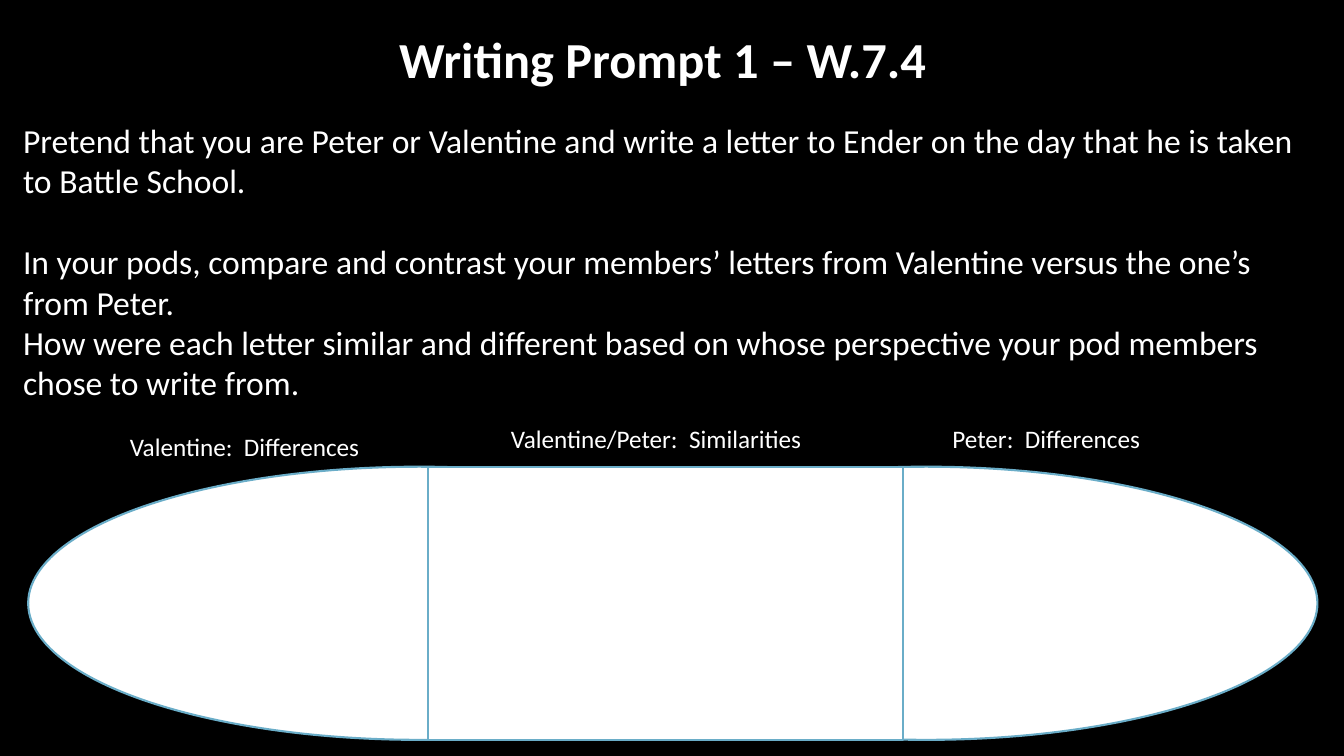
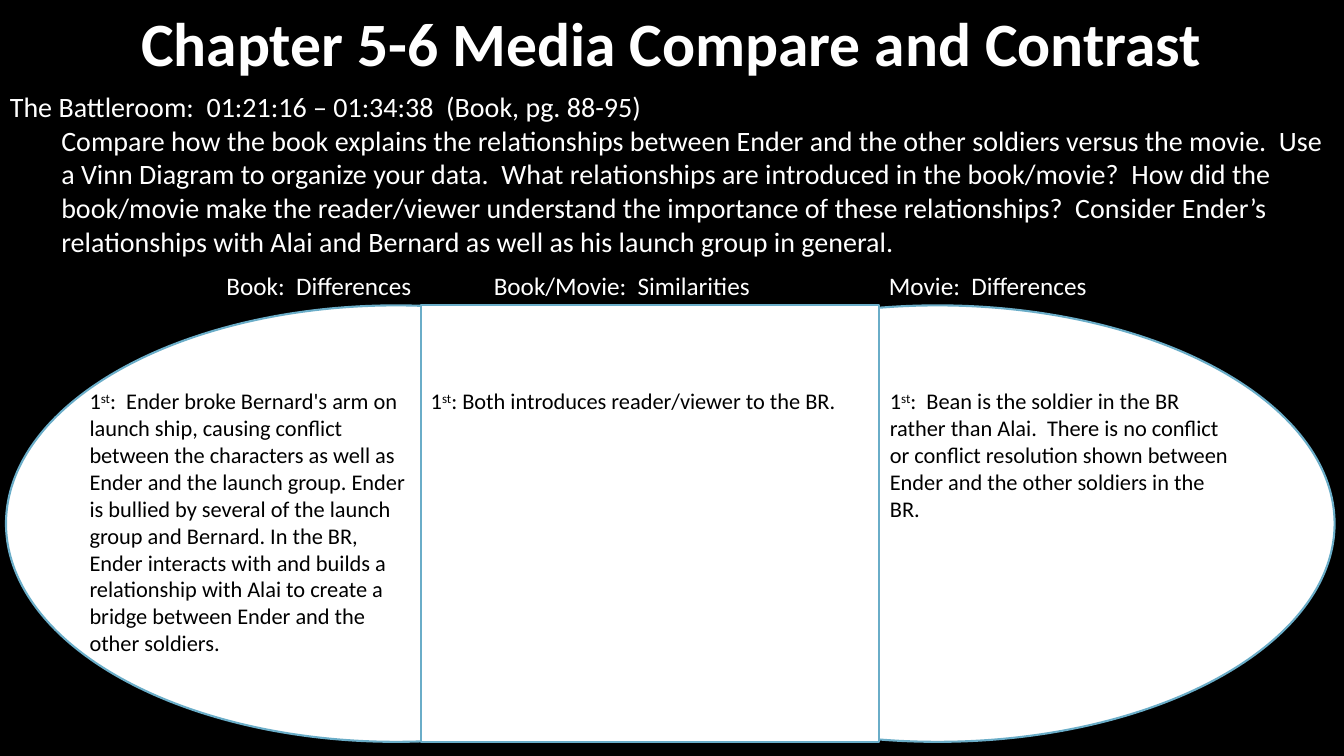
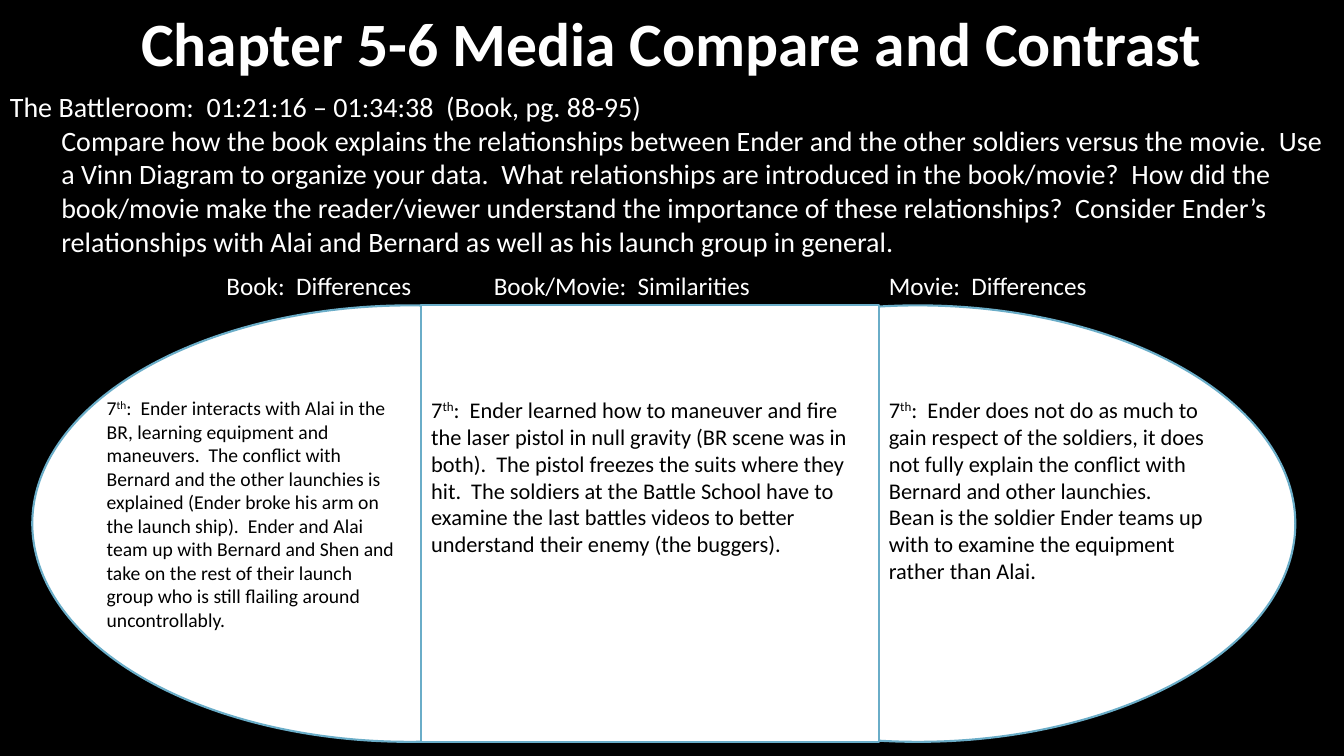
from dataclasses import dataclass

import pptx
import pptx.dml.color
import pptx.enum.shapes
import pptx.enum.text
import pptx.util

# Shared look; lengths are columns and rows of a square grid
CELL = 0.1  # inches
COLS, ROWS = 133.33, 75
FONT = "Calibri"
BLACK, WHITE, BLUE = "000000", "FFFFFF", "6AADC8"
LEFT, CENTER, RIGHT = (pptx.enum.text.PP_ALIGN.LEFT, pptx.enum.text.PP_ALIGN.CENTER,
                       pptx.enum.text.PP_ALIGN.RIGHT)
OVAL = pptx.enum.shapes.MSO_SHAPE.OVAL
RECTANGLE = pptx.enum.shapes.MSO_SHAPE.RECTANGLE


@dataclass(frozen=True)
class Para:
    text: str  # ^ marks the start and end of a superscript
    indent: float = 0
    before: float = 0


@dataclass(frozen=True)
class Box:
    col: float
    row: float
    cols: float
    rows: float
    size: float
    paras: tuple[Para, ...]
    color: str = WHITE
    bold: bool = False
    align: pptx.enum.text.PP_ALIGN = LEFT
    wrap: bool = True


@dataclass(frozen=True)
class Venn:
    row: float
    rows: float
    left: tuple[float, float]  # column and width of each part
    right: tuple[float, float]
    middle: tuple[float, float]


def grid(n: float) -> pptx.util.Emu:
    return pptx.util.Inches(n * CELL)


def rgb(color: str) -> pptx.dml.color.RGBColor:
    return pptx.dml.color.RGBColor.from_string(color)


def add_text(s: pptx.slide.Slide, box: Box) -> None:
    tf = s.shapes.add_textbox(*map(grid, (box.col, box.row, box.cols, box.rows))).text_frame
    tf.word_wrap = box.wrap
    tf.auto_size = pptx.enum.text.MSO_AUTO_SIZE.SHAPE_TO_FIT_TEXT
    for i, para in enumerate(box.paras):
        p = tf.add_paragraph() if i else tf.paragraphs[0]
        p.alignment = box.align
        if para.indent:
            p._p.get_or_add_pPr().set("marL", str(grid(para.indent)))
        if para.before:
            p.space_before = pptx.util.Pt(para.before)
        p.font.name, p.font.size, p.font.bold = FONT, pptx.util.Pt(box.size), box.bold
        p.font.color.rgb = rgb(box.color)
        for j, part in enumerate(para.text.split("^")):
            r = p.add_run()
            r.text = part
            if j % 2:
                r._r.get_or_add_rPr().set("baseline", "30000")


def add_venn(s: pptx.slide.Slide, venn: Venn) -> None:
    for kind, (col, cols) in ((OVAL, venn.left), (OVAL, venn.right), (RECTANGLE, venn.middle)):
        sp = s.shapes.add_shape(kind, *map(grid, (col, venn.row, cols, venn.rows)))
        sp.shadow.inherit = False
        sp.fill.solid()
        sp.fill.fore_color.rgb = rgb(WHITE)
        sp.line.color.rgb = rgb(BLUE)
        sp.line.width = pptx.util.Pt(1.5)


def add_slide(prs: pptx.presentation.Presentation, venn: Venn, boxes: tuple[Box, ...]) -> None:
    s = prs.slides.add_slide(prs.slide_layouts[6])
    s.background.fill.solid()
    s.background.fill.fore_color.rgb = rgb(BLACK)
    add_venn(s, venn)
    for box in boxes:
        add_text(s, box)


def label(col: float, row: float, cols: float, text: str,
          align: pptx.enum.text.PP_ALIGN = LEFT, wrap: bool = True) -> Box:
    return Box(col, row, cols, 4, 18, (Para(text),), align=align, wrap=wrap)


def note(col: float, row: float, cols: float, rows: float, text: str, size: float = 16) -> Box:
    return Box(col, row, cols, rows, size, (Para(text),), BLACK)


# Writing prompt
PROMPT_VENN = Venn(46.3, 27.1, (2.8, 77.6), (53.1, 77.6), (42.5, 47.1))
PROMPT = (
    Box(38.6, 2.3, 54.9, 7.1, 36, (Para("Writing Prompt 1 – W.7.4"),), bold=True, wrap=False),
    Box(1.3, 11.4, 129.5, 29.3, 24, (
        Para("Pretend that you are Peter or Valentine and write a letter to Ender on the day "
             "that he is taken to Battle School."),
        Para("In your pods, compare and contrast your members’ letters from Valentine versus "
             "the one’s from Peter.", before=29),
        Para("How were each letter similar and different based on whose perspective your pod "
             "members chose to write from."),
    )),
    label(11.9, 42.3, 25.1, "Valentine:  Differences", wrap=False),
    label(49.7, 41.5, 31.2, "Valentine/Peter:  Similarities", wrap=False),
    label(93.5, 41.5, 20.9, "Peter:  Differences", wrap=False),
)

# Parts common to the book and movie comparisons
MEDIA_ROW, MEDIA_ROWS, MEDIA_MIDDLE = 30.3, 43.3, (41.8, 45.4)
MEDIA = (
    Box(12.5, 0, 108.3, 8.4, 44, (Para("Chapter 5-6 Media Compare and Contrast"),),
        bold=True, align=CENTER, wrap=False),
    Box(0, 8.4, COLS, 17.8, 20, (
        Para("The Battleroom:  01:21:16 – 01:34:38  (Book, pg. 88-95)"),
        Para("Compare how the book explains the relationships between Ender and the other "
             "soldiers versus the movie.  Use a Vinn Diagram to organize your data.  What "
             "relationships are introduced in the book/movie?  How did the book/movie make the "
             "reader/viewer understand the importance of these relationships?  Consider Ender’s "
             "relationships with Alai and Bernard as well as his launch group in general.",
             indent=5.1),
    )),
    label(17.6, 26.3, 24.2, "Book:  Differences", RIGHT),
    label(48, 26.3, 30.1, "Book/Movie:  Similarities"),
    label(87.2, 26.3, 22.1, "Movie:  Differences"),
)

# Answers of each class period
FIRST_VENN = Venn(MEDIA_ROW, MEDIA_ROWS, (0.6, 77.4), (53.6, 78.8), MEDIA_MIDDLE)
FIRST = (
    note(7.9, 37.95, 33.7, 27.9,
         "1^st^:  Ender broke Bernard's arm on launch ship, causing conflict between the "
         "characters as well as Ender and the launch group. Ender is bullied by several of the "
         "launch group and Bernard. In the BR, Ender interacts with and builds a relationship "
         "with Alai to create a bridge between Ender and the other soldiers."),
    note(41.75, 37.95, 45.4, 3.7, "1^st^: Both introduces reader/viewer to the BR."),
    note(87.3, 37.95, 36, 14.5,
         "1^st^:  Bean is the soldier in the BR rather than Alai.  There is no conflict or "
         "conflict resolution shown between Ender and the other soldiers in the BR."),
)
SEVENTH_VENN = Venn(MEDIA_ROW, MEDIA_ROWS, (3.2, 74.9), (53.6, 74.9), MEDIA_MIDDLE)
SEVENTH = (
    note(9.6, 38.8, 31.1, 24.6,
         "7^th^:  Ender interacts with Alai in the BR, learning equipment and maneuvers.  The "
         "conflict with Bernard and the other launchies is explained (Ender broke his arm on "
         "the launch ship).  Ender and Alai team up with Bernard and Shen and take on the rest "
         "of their launch group who is still flailing around uncontrollably.", 14),
    note(41.8, 38.8, 45.4, 17.2,
         "7^th^:  Ender learned how to maneuver and fire the laser pistol in null gravity (BR "
         "scene was in both).  The pistol freezes the suits where they hit.  The soldiers at "
         "the Battle School have to examine the last battles videos to better understand their "
         "enemy (the buggers)."),
    note(87.2, 38.8, 33.6, 19.9,
         "7^th^:  Ender does not do as much to gain respect of the soldiers, it does not fully "
         "explain the conflict with Bernard and other launchies.  Bean is the soldier Ender "
         "teams up with to examine the equipment rather than Alai."),
)


def main() -> None:
    prs = pptx.Presentation()
    prs.slide_width, prs.slide_height = grid(COLS), grid(ROWS)
    add_slide(prs, PROMPT_VENN, PROMPT)
    add_slide(prs, FIRST_VENN, MEDIA + FIRST)
    add_slide(prs, SEVENTH_VENN, MEDIA + SEVENTH)
    prs.save("out.pptx")


if __name__ == "__main__":
    main()
